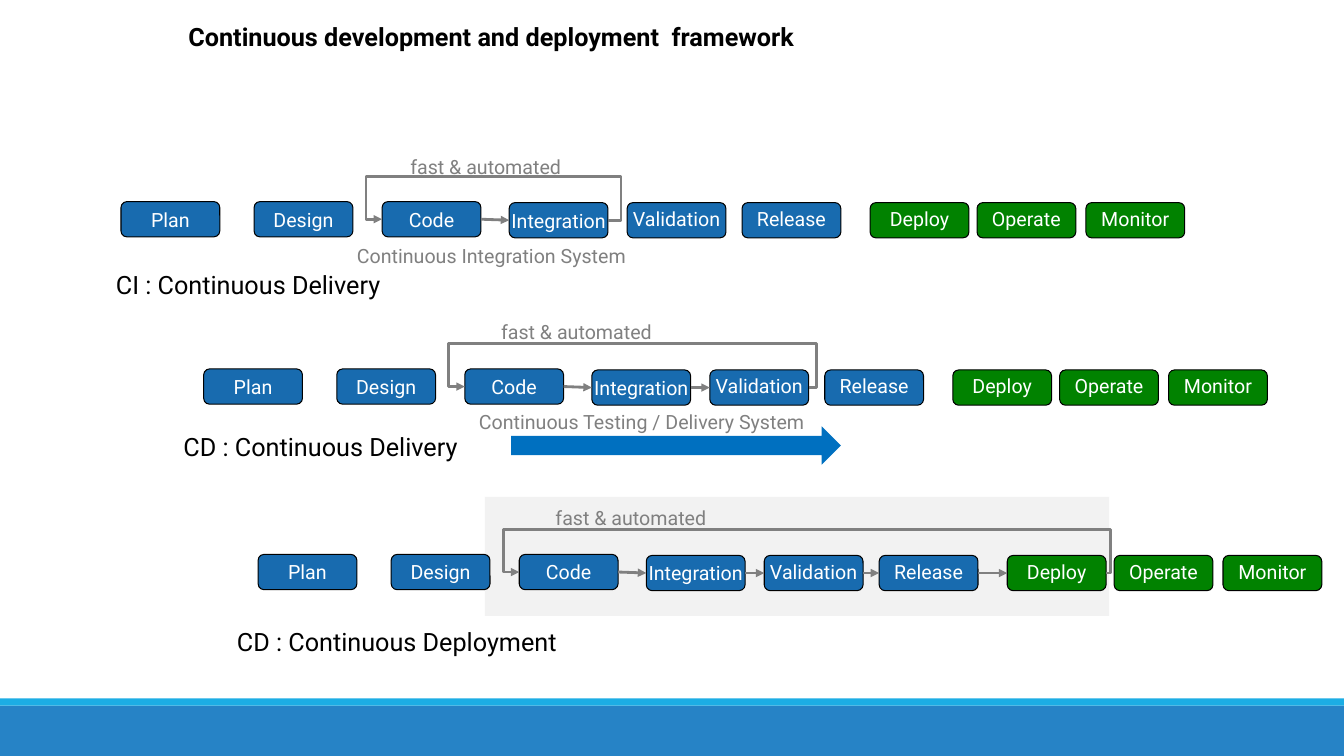
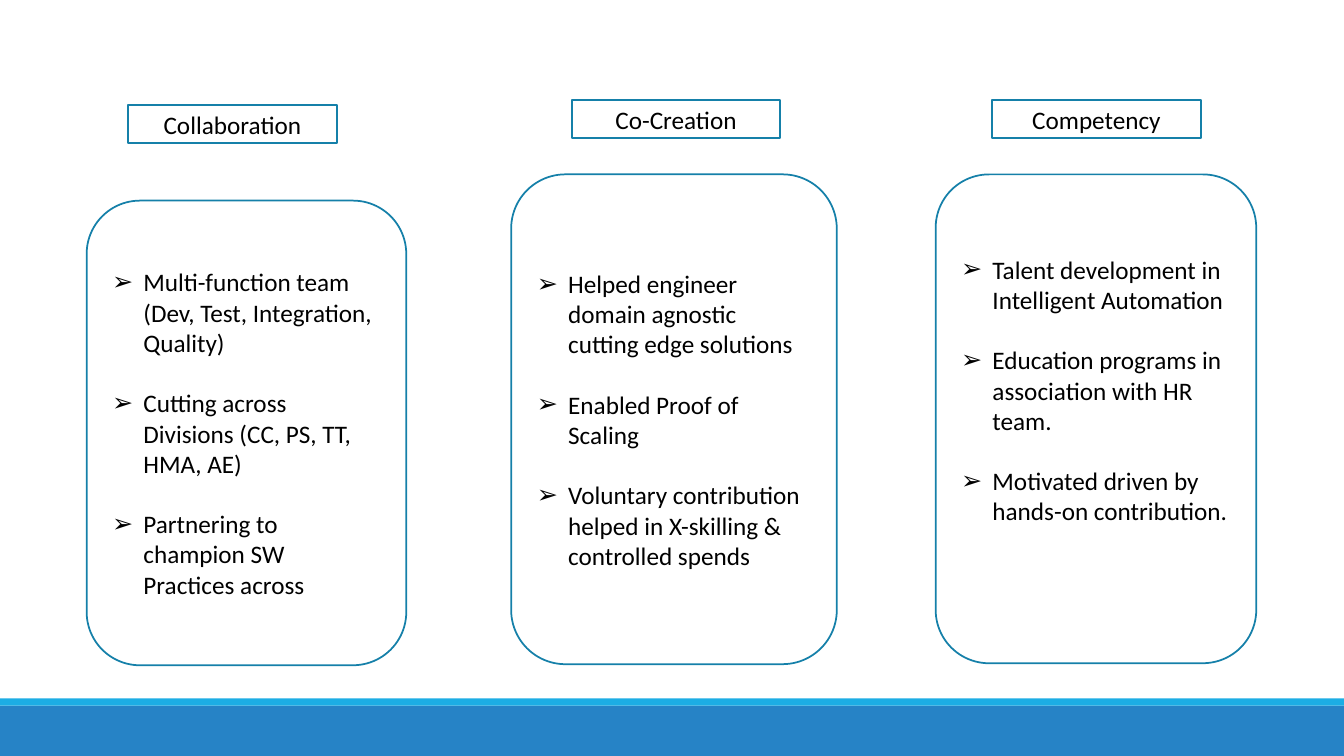
from dataclasses import dataclass

from lxml import etree
from pptx import Presentation
from pptx.dml.color import RGBColor
from pptx.enum import shapes, text
from pptx.oxml import ns
from pptx.util import Inches, Pt

WHITE = RGBColor(0xFF, 0xFF, 0xFF)
BLACK = RGBColor(0x00, 0x00, 0x00)
GRAY = RGBColor(0x80, 0x80, 0x80)
PALE = RGBColor(0xF2, 0xF2, 0xF2)
FOOTER_BLUE = RGBColor(0x26, 0x83, 0xC6)
FOOTER_CYAN = RGBColor(0x1C, 0xAD, 0xE4)
BUILD_BLUE = RGBColor(0x18, 0x6B, 0xAF)
RUN_GREEN = RGBColor(0x01, 0x82, 0x00)
ARROW_BLUE = RGBColor(0x00, 0x70, 0xC0)
OUTLINE = RGBColor(0x15, 0x80, 0xA9)

STEP_W, STEP_H = 0.98, 0.35
LOOP_RISE, LOOP_LEAD, STEP_DROP = 0.44, 0.16, 0.01
RECT = shapes.MSO_SHAPE.RECTANGLE
ROUNDED = shapes.MSO_SHAPE.ROUNDED_RECTANGLE
CENTER = text.PP_ALIGN.CENTER


@dataclass
class Step:
    name: str
    offset: float
    color: RGBColor = BUILD_BLUE
    drop: float = STEP_DROP
    spacing: float = 0.9


@dataclass
class Caption:
    words: str
    left: float
    top: float
    width: float
    size: int = 14
    color: RGBColor = GRAY


@dataclass
class Pipeline:
    left: float
    top: float
    last: str
    overhang: float
    captions: list[Caption]


@dataclass
class Pillar:
    heading: str
    heading_at: tuple[float, float]
    card: tuple[float, float, float, float]
    points: list[str]
    bottom_inset: float = 0.05


STEPS = [
    Step("Plan", 0, drop=0, spacing=1.0),
    Step("Design", 1.32, drop=0, spacing=1.0),
    Step("Code", 2.59, drop=0, spacing=1.0),
    Step("Integration", 3.85, spacing=1.0),
    Step("Validation", 5.02),
    Step("Release", 6.16),
    Step("Deploy", 7.43, RUN_GREEN),
    Step("Operate", 8.49, RUN_GREEN),
    Step("Monitor", 9.57, RUN_GREEN),
]

PIPELINES = [
    Pipeline(1.2, 2, "Integration", 0.13, [
        Caption("fast & automated", 4.07, 1.45, 1.66),
        Caption("Continuous Integration System", 3.54, 2.33, 3),
        Caption("CI : Continuous Delivery", 1.15, 2.65, 3, 18, BLACK),
    ]),
    Pipeline(2.02, 3.66, "Validation", 0.08, [
        Caption("fast & automated", 4.97, 3.09, 1.66),
        Caption("Continuous Testing / Delivery System", 4.75, 3.98, 3.6),
        Caption("CD : Continuous Delivery", 1.82, 4.26, 3, 18, BLACK),
    ]),
    Pipeline(2.56, 5.5, "Deploy", 0.04, [
        Caption("fast & automated", 5.51, 4.93, 1.66),
        Caption("CD : Continuous Deployment", 2.35, 6.19, 3.6, 18, BLACK),
    ]),
]

PILLARS = [
    Pillar("Collaboration", (1.27, 1.04), (0.86, 1.99, 3.17, 4.61), [
        "Multi-function team (Dev, Test, Integration, Quality)",
        "Cutting across Divisions (CC, PS, TT, HMA, AE)",
        "Partnering to champion SW Practices across",
    ]),
    Pillar("Co-Creation", (5.67, 0.99), (5.07, 1.73, 3.23, 4.86), [
        "Helped engineer domain agnostic cutting edge solutions",
        "Enabled Proof of Scaling",
        "Voluntary contribution helped in X-skilling & controlled spends",
    ]),
    Pillar("Competency", (9.84, 0.99), (9.28, 1.73, 3.18, 4.85), [
        "Talent development in Intelligent Automation",
        "Education programs in association with HR team.",
        "Motivated driven by hands-on contribution.",
    ], bottom_inset=0.62),
]


def add_box(slide, kind, left: float, top: float, width: float, height: float,
            fill: RGBColor | None = None, line: RGBColor | None = None,
            weight: float = 0.75):
    box = slide.shapes.add_shape(
        kind, Inches(left), Inches(top), Inches(width), Inches(height))
    box.shadow.inherit = False
    if fill is None:
        box.fill.background()
    else:
        box.fill.solid()
        box.fill.fore_color.rgb = fill
    if line is None:
        box.line.fill.background()
    else:
        box.line.color.rgb = line
        box.line.width = Pt(weight)
    return box


def write(shape, *lines: str, size: int = 18, font: str = "Roboto",
          color: RGBColor = BLACK, bold: bool = False,
          align=text.PP_ALIGN.LEFT, anchor=text.MSO_ANCHOR.MIDDLE,
          inset: float | None = None, spacing=None,
          before: float = 0, gap: float = 0, bullet: str = "") -> None:
    frame = shape.text_frame
    frame.word_wrap = True
    frame.vertical_anchor = anchor
    if inset is not None:
        frame.margin_left = frame.margin_right = Inches(inset)
        frame.margin_top = frame.margin_bottom = Inches(inset)
    for index, line in enumerate(lines):
        paragraph = frame.add_paragraph() if index else frame.paragraphs[0]
        paragraph.alignment = align
        paragraph.line_spacing = spacing
        paragraph.space_before = Pt(gap if index else before)
        run = paragraph.add_run()
        run.text = line
        run.font.size = Pt(size)
        run.font.name = font
        run.font.bold = bold
        run.font.color.rgb = color
        if bullet:
            props = paragraph._p.get_or_add_pPr()
            props.set("marL", str(Inches(0.31)))
            props.set("indent", str(-Inches(0.31)))
            etree.SubElement(props, ns.qn("a:buFont"), typeface="Arial")
            etree.SubElement(props, ns.qn("a:buChar"), char=bullet)


def add_arrow(slide, kind, start: tuple[float, float], end: tuple[float, float]):
    arrow = slide.shapes.add_connector(
        kind, *(Inches(value) for value in (*start, *end)))
    arrow.line.color.rgb = GRAY
    arrow.line.width = Pt(2)
    etree.SubElement(arrow.line._get_or_add_ln(), ns.qn("a:tailEnd"), type="triangle")
    etree.SubElement(arrow._element.spPr, ns.qn("a:effectLst"))
    return arrow


def add_loop(slide, start: tuple[float, float], end: tuple[float, float],
             overhang: float) -> None:
    loop = add_arrow(slide, shapes.MSO_CONNECTOR.ELBOW, start, end)
    span = start[0] - end[0]
    bends = (-overhang / span, LOOP_RISE / (start[1] - end[1]), 1 + LOOP_LEAD / span)
    geometry = loop._element.spPr.find(ns.qn("a:prstGeom"))
    geometry.set("prst", "bentConnector5")
    guides = geometry.find(ns.qn("a:avLst"))
    for number, bend in enumerate(bends, 1):
        etree.SubElement(guides, ns.qn("a:gd"), name=f"adj{number}",
                         fmla=f"val {round(bend * 100000)}")


def add_caption(slide, caption: Caption) -> None:
    label = slide.shapes.add_textbox(
        Inches(caption.left), Inches(caption.top), Inches(caption.width), Inches(0.33))
    write(label, caption.words, size=caption.size, color=caption.color,
          anchor=text.MSO_ANCHOR.TOP, inset=0, spacing=Pt(23), before=5)


def add_pipeline(slide, pipeline: Pipeline) -> None:
    boxes = []
    for step in STEPS:
        box = add_box(slide, ROUNDED, pipeline.left + step.offset,
                      pipeline.top + step.drop, STEP_W, STEP_H, step.color, BLACK)
        write(box, step.name, size=14, color=WHITE, align=CENTER, inset=0,
              spacing=step.spacing)
        boxes.append(box)
    names = [step.name for step in STEPS]
    first, last = names.index("Code"), names.index(pipeline.last)
    middle = pipeline.top + STEP_H / 2
    for index in range(first, last):
        arrow = add_arrow(slide, shapes.MSO_CONNECTOR.STRAIGHT,
                          (pipeline.left, middle), (pipeline.left, middle))
        arrow.begin_connect(boxes[index], 3)
        arrow.end_connect(boxes[index + 1], 1)
    add_loop(slide,
             (pipeline.left + STEPS[last].offset + STEP_W, middle + STEP_DROP),
             (pipeline.left + STEPS[first].offset, middle), pipeline.overhang)
    for caption in pipeline.captions:
        add_caption(slide, caption)


def add_pillar(slide, pillar: Pillar) -> None:
    card = add_box(slide, ROUNDED, *pillar.card, line=OUTLINE, weight=1.25)
    write(card, *pillar.points, font="Calibri", gap=21.5, bullet="➢")
    card.text_frame.margin_bottom = Inches(pillar.bottom_inset)
    heading = add_box(slide, RECT, *pillar.heading_at, 2.07, 0.38,
                      line=OUTLINE, weight=1.25)
    write(heading, pillar.heading, font="Calibri", align=CENTER)


def new_slide(deck):
    slide = deck.slides.add_slide(deck.slide_layouts[6])
    add_box(slide, RECT, 0, 7, 13.33, 0.5, FOOTER_BLUE)
    add_box(slide, RECT, 0, 6.93, 13.33, 0.07, FOOTER_CYAN)
    return slide


def build_framework(deck) -> None:
    slide = new_slide(deck)
    title = slide.shapes.add_textbox(
        Inches(1.77), Inches(0.16), Inches(8.88), Inches(0.4))
    write(title, "Continuous development and deployment  framework", bold=True,
          anchor=text.MSO_ANCHOR.TOP)
    add_box(slide, RECT, 4.81, 4.93, 6.19, 1.18, PALE)
    add_box(slide, shapes.MSO_SHAPE.RIGHT_ARROW, 5.07, 4.23, 3.27, 0.38, ARROW_BLUE)
    for pipeline in PIPELINES:
        add_pipeline(slide, pipeline)


def build_pillars(deck) -> None:
    slide = new_slide(deck)
    for pillar in PILLARS:
        add_pillar(slide, pillar)


def main() -> None:
    deck = Presentation()
    deck.slide_width, deck.slide_height = Inches(13.33), Inches(7.5)
    build_framework(deck)
    build_pillars(deck)
    deck.save("out.pptx")


if __name__ == "__main__":
    main()
